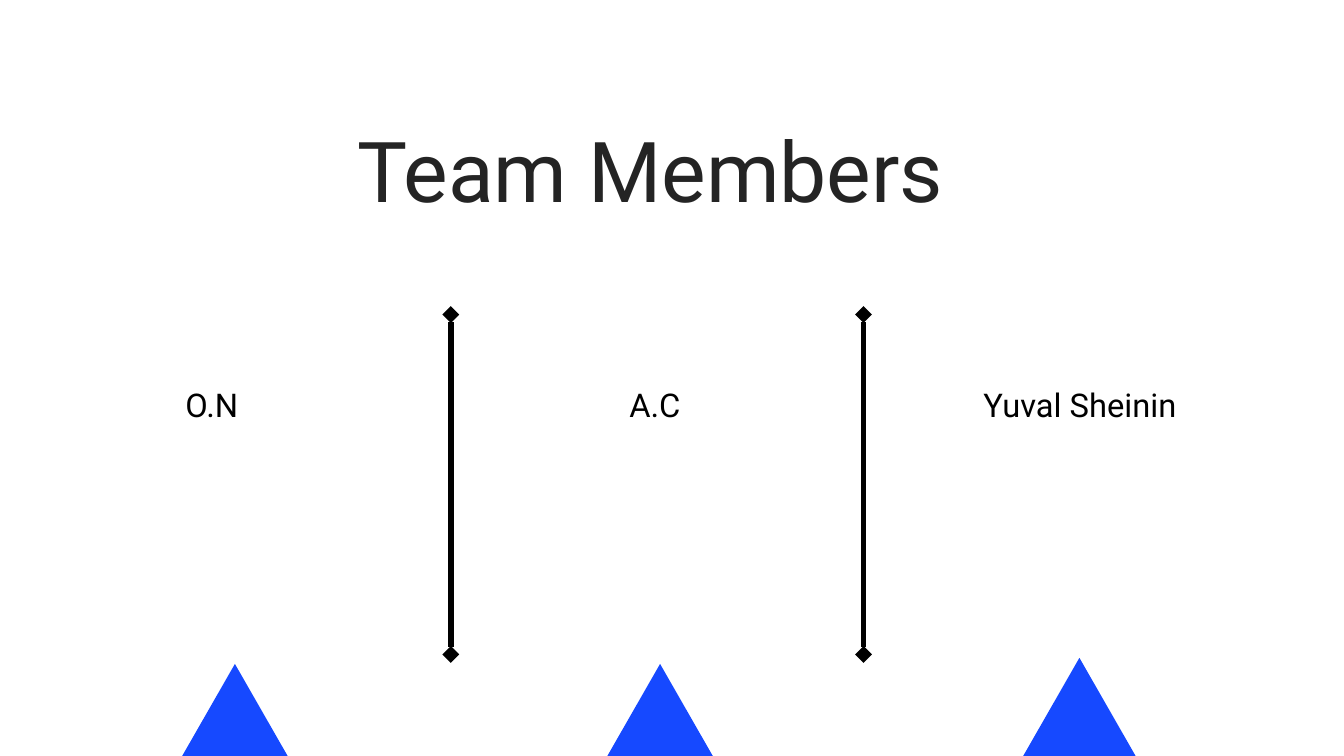
import pptx
import pptx.util
import pptx.dml.color
import pptx.enum.shapes
import pptx.enum.text
import pptx.oxml.ns
from lxml import etree

Cm = pptx.util.Cm
Pt = pptx.util.Pt
COLORS = {"title": "242424", "ink": "000000", "blue": "1649FF"}
FONT = "Roboto"


def color(name):
    return pptx.dml.color.RGBColor.from_string(COLORS[name])


def add_text(slide, text, box, size=35, ink="ink", gap=1.3):
    frame = slide.shapes.add_textbox(*map(Cm, box)).text_frame
    frame.word_wrap = True
    frame.margin_left = frame.margin_right = 0
    frame.margin_top = frame.margin_bottom = 0
    para = frame.paragraphs[0]
    para.alignment = pptx.enum.text.PP_ALIGN.CENTER
    para.line_spacing = gap
    run = para.add_run()
    run.text = text
    run.font.name = FONT
    run.font.size = Pt(size)
    run.font.color.rgb = color(ink)


def add_rule(slide, x, top, height):
    """Upright divider with a diamond at each end."""
    rule = slide.shapes.add_connector(
        pptx.enum.shapes.MSO_CONNECTOR.STRAIGHT,
        Cm(x), Cm(top + height), Cm(x), Cm(top))
    rule.line.width = Pt(6)
    rule.line.color.rgb = color("ink")
    line = rule.line._get_or_add_ln()
    for end in ("a:headEnd", "a:tailEnd"):
        etree.SubElement(line, pptx.oxml.ns.qn(end), type="diamond")
    etree.SubElement(rule._element.spPr, pptx.oxml.ns.qn("a:effectLst"))


def add_peak(slide, box):
    """Triangle that runs off the foot of the slide."""
    peak = slide.shapes.add_shape(
        pptx.enum.shapes.MSO_SHAPE.ISOSCELES_TRIANGLE, *map(Cm, box))
    peak.shadow.inherit = False
    peak.fill.solid()
    peak.fill.fore_color.rgb = color("blue")
    peak.line.fill.background()


def add_member(slide, name, box, peak_x, peak_y):
    """Name at the top of the box, triangle offset from its corner."""
    left, top, width = box
    add_text(slide, name, (left, top, width, 1.96))
    add_peak(slide, (left + peak_x, top + peak_y, 6.22, 5.43))


def main():
    deck = pptx.Presentation()
    deck.slide_width = Cm(50.8)
    deck.slide_height = Cm(28.58)
    slide = deck.slides.add_slide(deck.slide_layouts[6])

    # Title
    add_text(slide, "Team Members", (8.36, 3.71, 32.46, 4.62),
             size=90, ink="title", gap=1.2)

    # Dividers
    for x in (17.04, 32.64):
        add_rule(slide, x, 11.89, 12.85)

    # Members: name, left, width, triangle offset
    members = [
        ("O.N", 1.42, 13.18, 4.35, 10.98),
        ("A.C", 18.06, 13.39, 3.78, 10.98),
        ("Yuval Sheinin", 34.42, 12.8, 3.27, 10.75),
    ]
    for name, left, width, peak_x, peak_y in members:
        add_member(slide, name, (left, 14.12, width), peak_x, peak_y)

    deck.save("out.pptx")


if __name__ == "__main__":
    main()
